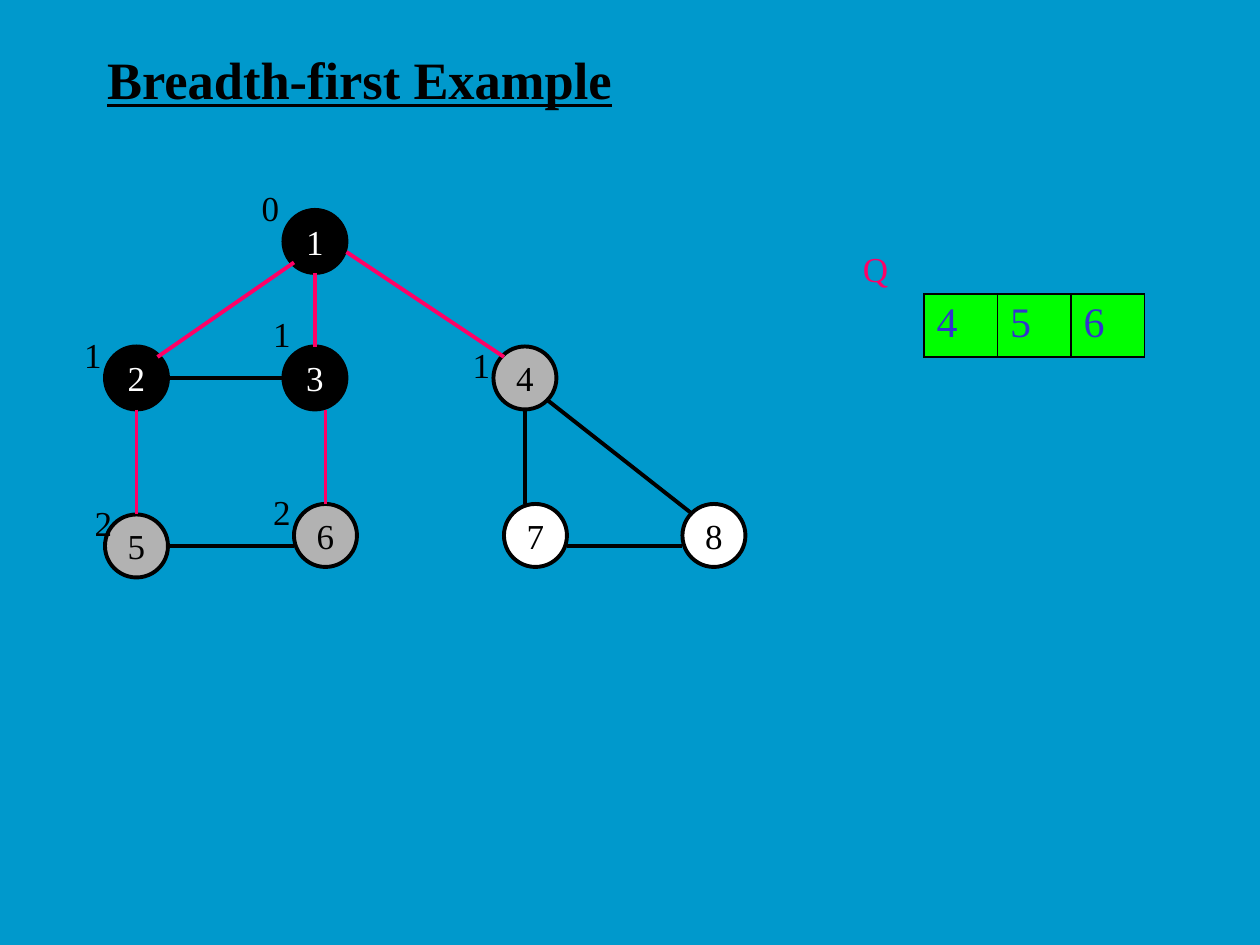
from lxml import etree
from pptx import Presentation
from pptx.dml.color import RGBColor
from pptx.enum.shapes import MSO_CONNECTOR, MSO_SHAPE
from pptx.enum.text import MSO_ANCHOR, MSO_AUTO_SIZE, PP_ALIGN
from pptx.oxml import parse_xml
from pptx.oxml.ns import nsdecls, qn
from pptx.util import Pt

LINE, OVAL = MSO_CONNECTOR.STRAIGHT, MSO_SHAPE.OVAL
LEFT, CENTER, MIDDLE = PP_ALIGN.LEFT, PP_ALIGN.CENTER, MSO_ANCHOR.MIDDLE
NO_FIT, GROW = MSO_AUTO_SIZE.NONE, MSO_AUTO_SIZE.SHAPE_TO_FIT_TEXT
BLACK, WHITE, GRAY, PINK = "000000", "FFFFFF", "B2B2B2", "FF0066"


def color(hex_string):
    return RGBColor.from_string(hex_string)


def write(tf, text, size, hex_string, align=LEFT):
    p = tf.paragraphs[0]
    p.text = text
    p.alignment = align
    p.font.name = "Times New Roman"
    p.font.size = Pt(size)
    p.font.color.rgb = color(hex_string)
    return p


prs = Presentation()
prs.slide_width, prs.slide_height = Pt(720), Pt(540)
s = prs.slides.add_slide(prs.slide_layouts[5])
s.background.fill.solid()
s.background.fill.fore_color.rgb = color("0099CC")

# Title
title = s.shapes.title
title.left, title.top, title.width, title.height = Pt(54), Pt(24), Pt(486), Pt(42)
tf = title.text_frame
tf.auto_size = NO_FIT
tf.vertical_anchor = MIDDLE
p = write(tf, "Breadth-first Example", 30, BLACK)
p.font.bold = p.font.underline = True

# Graph nodes: label, left, top, fill
nodes = [
    ("1", 162, 120, BLACK), ("3", 162, 198, BLACK), ("6", 168, 288, GRAY),
    ("2", 60, 198, BLACK), ("5", 60, 294, GRAY), ("4", 282, 198, GRAY),
    ("8", 390, 288, WHITE), ("7", 288, 288, WHITE),
]
for label, left, top, fill in nodes:
    sp = s.shapes.add_shape(OVAL, Pt(left), Pt(top), Pt(36), Pt(36))
    sp.shadow.inherit = False
    sp.fill.solid()
    sp.fill.fore_color.rgb = color(fill)
    sp.line.color.rgb = color(BLACK)
    sp.line.width = Pt(2.25)
    tf = sp.text_frame
    tf.word_wrap = False
    tf.vertical_anchor = MIDDLE
    write(tf, label, 20, WHITE if fill == BLACK else BLACK, CENTER)

# Edges: tree edges are pink, the others black
edges = [
    (168, 150, 90, 204, PINK), (78, 234, 78, 294, PINK),
    (96, 216, 162, 216, BLACK), (186, 234, 186, 288, PINK),
    (96, 312, 168, 312, BLACK), (180, 156, 180, 198, PINK),
    (198, 144, 288, 204, PINK), (300, 234, 300, 288, BLACK),
    (312, 228, 396, 294, BLACK), (324, 312, 390, 312, BLACK),
]
for x1, y1, x2, y2, stroke in edges:
    line = s.shapes.add_connector(LINE, Pt(x1), Pt(y1), Pt(x2), Pt(y2))
    line.line.color.rgb = color(stroke)
    line.line.width = Pt(2.25)
    etree.SubElement(line._element.spPr, qn("a:effectLst"))

# Queue
queue = ["4", "5", "6"]
table = s.shapes.add_table(1, len(queue), Pt(528), Pt(168), Pt(126), Pt(36)).table
for i, value in enumerate(queue):
    table.columns[i].width = Pt(42)
    cell = table.cell(0, i)
    tcPr = cell._tc.get_or_add_tcPr()
    for side in "LRTB":
        tcPr.append(parse_xml(
            f'<a:ln{side} {nsdecls("a")} w="{Pt(1.08)}"><a:solidFill>'
            f'<a:srgbClr val="{BLACK}"/></a:solidFill></a:ln{side}>'))
    cell.fill.solid()
    cell.fill.fore_color.rgb = color("00FF00")
    write(cell.text_frame, value, 24, "3333CC")

# Queue name and distance labels: text, left, top, width, colour
labels = [
    ("Q", 486, 138, 29, PINK), ("0", 142.5, 103, 24.5, BLACK),
    ("1", 41, 187, 24.5, BLACK), ("1", 149, 175, 24.5, BLACK),
    ("1", 263, 193, 24.5, BLACK), ("2", 47, 283, 24.5, BLACK),
    ("2", 149, 277, 24.5, BLACK),
]
for text, left, top, width, ink in labels:
    tf = s.shapes.add_textbox(Pt(left), Pt(top), Pt(width), Pt(31.5)).text_frame
    tf.word_wrap = False
    tf.auto_size = GROW
    write(tf, text, 20, ink)

prs.save("out.pptx")
